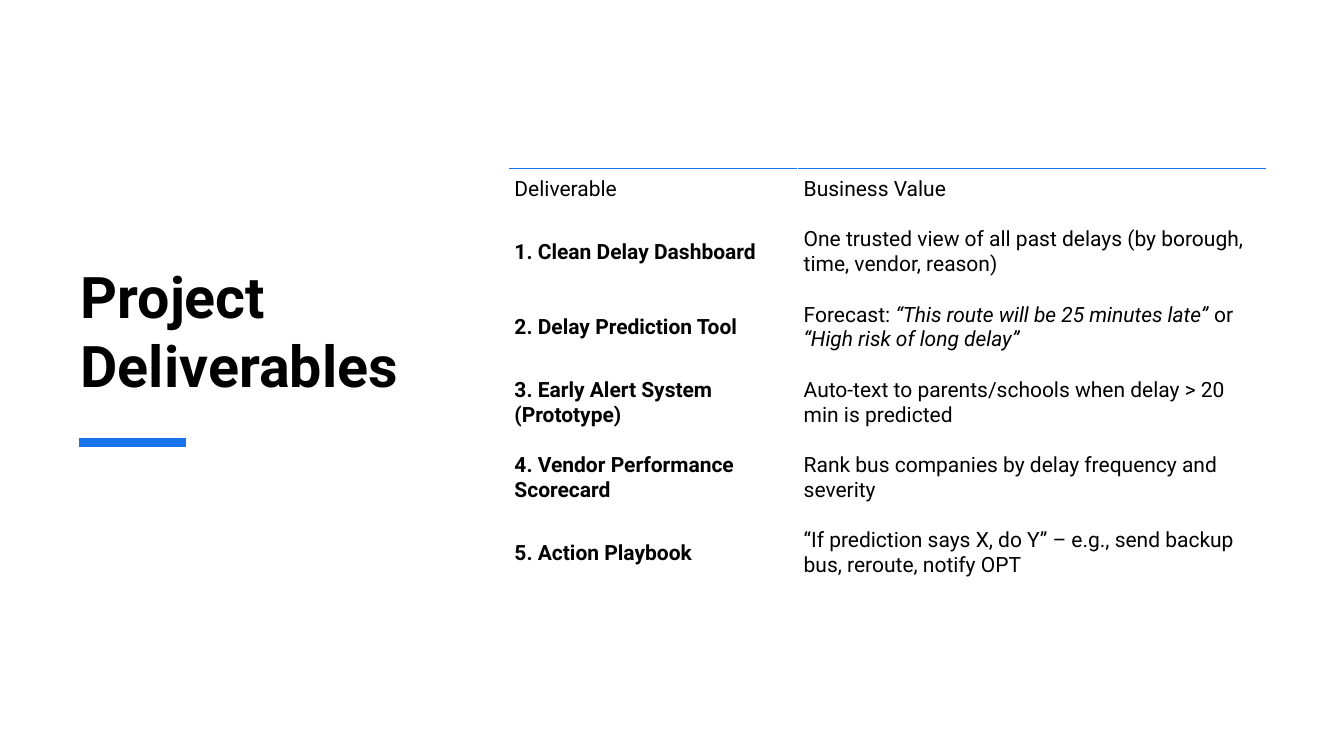
"""Build the Project Deliverables slide with its two-column table."""
from lxml.etree import SubElement
from pptx import Presentation
from pptx.dml.color import RGBColor
from pptx.enum.shapes import MSO_CONNECTOR as Connector
from pptx.enum.text import MSO_ANCHOR as Anchor, MSO_AUTO_SIZE as AutoSize, PP_ALIGN as Align
from pptx.oxml import parse_xml
from pptx.oxml.ns import nsdecls, qn
from pptx.util import Pt

TITLE = "Project Deliverables"
HEADER = ("Deliverable", ["Business Value"])
DELIVERABLES = [
    ("1. Clean Delay Dashboard",
     ["One trusted view of all past delays (by borough, time, vendor, reason)"]),
    ("2. Delay Prediction Tool",
     ["Forecast: ", "“This route will be 25 minutes late”", " or ", "“High risk of long delay”"]),
    ("3. Early Alert System (Prototype)",
     ["Auto-text to parents/schools when delay > 20 min is predicted"]),
    ("4. Vendor Performance Scorecard",
     ["Rank bus companies by delay frequency and severity"]),
    ("5. Action Playbook",
     ["“If prediction says X, do Y” – e.g., send backup bus, reroute, notify OPT"]),
]
COLORS = {"text": "000000", "accent": "1973EB"}
FONT = "Roboto"
COLUMN_WIDTHS = (206.6, 334.8)
HEADER_HEIGHT, ROW_HEIGHT = 35.2, 53.8
TABLE_LEFT, TABLE_TOP = 363, 120.3


def set_font(para, size, bold):
    font = para.font
    font.name, font.size, font.bold = FONT, Pt(size), bold
    font.color.rgb = RGBColor.from_string(COLORS["text"])


def add_title(slide):
    title = slide.shapes.title
    title.left, title.top, title.width, title.height = Pt(50.4), Pt(80.6), Pt(248.4), Pt(208)
    frame = title.text_frame
    frame.text = TITLE
    frame.word_wrap, frame.auto_size = True, AutoSize.NONE
    frame.vertical_anchor = Anchor.BOTTOM
    para = frame.paragraphs[0]
    para.alignment = Align.LEFT
    set_font(para, 41, True)


def add_accent(slide):
    accent = slide.shapes.add_connector(Connector.STRAIGHT, Pt(56.2), Pt(316), Pt(133.2), Pt(316))
    accent.line.color.rgb = RGBColor.from_string(COLORS["accent"])
    accent.line.width = Pt(6)
    SubElement(accent._element.spPr, qn("a:effectLst"))


def fill_cell(cell, pieces, bold):
    cell.fill.background()
    cell.vertical_anchor = Anchor.MIDDLE
    cell.margin_left = cell.margin_right = cell.margin_top = Pt(4.5)
    cell.margin_bottom = Pt(9.2)
    para = cell.text_frame.paragraphs[0]
    set_font(para, 15, bold)
    for index, piece in enumerate(pieces):
        span = para.add_run()
        span.text = piece
        if index % 2:
            span.font.italic = True


def add_top_border(cell):
    border = parse_xml(
        f'<a:lnT {nsdecls("a")} w="{Pt(1)}"><a:solidFill>'
        f'<a:srgbClr val="{COLORS["accent"]}"/></a:solidFill></a:lnT>')
    cell._tc.get_or_add_tcPr().insert(0, border)


def add_deliverables(slide):
    rows = [HEADER, *DELIVERABLES]
    heights = [HEADER_HEIGHT] + [ROW_HEIGHT] * len(DELIVERABLES)
    table = slide.shapes.add_table(
        len(rows), len(COLUMN_WIDTHS), Pt(TABLE_LEFT), Pt(TABLE_TOP),
        Pt(sum(COLUMN_WIDTHS)), Pt(sum(heights))).table
    table.first_row = table.horz_banding = False
    for column, width in zip(table.columns, COLUMN_WIDTHS):
        column.width = Pt(width)
    for index, (name, value) in enumerate(rows):
        table.rows[index].height = Pt(heights[index])
        fill_cell(table.cell(index, 0), [name], index > 0)
        fill_cell(table.cell(index, 1), value, False)
    for cell in table.rows[0].cells:
        add_top_border(cell)


def main():
    deck = Presentation()
    deck.slide_width, deck.slide_height = Pt(960), Pt(540)
    slide = deck.slides.add_slide(deck.slide_layouts[5])
    add_title(slide)
    add_accent(slide)
    add_deliverables(slide)
    deck.save("out.pptx")


if __name__ == "__main__":
    main()
